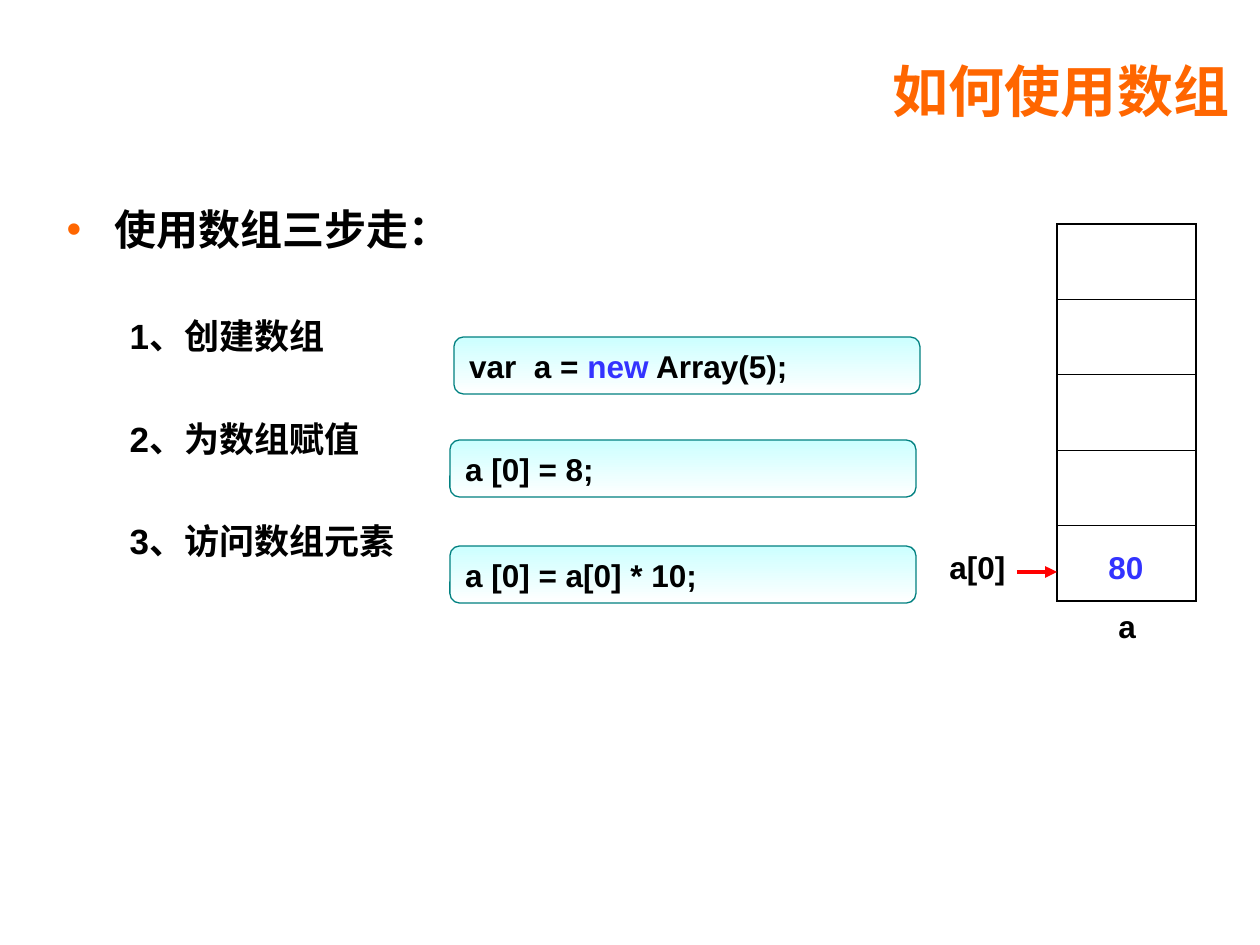
from typing import NamedTuple

from pptx import Presentation
from pptx.dml.color import RGBColor
from pptx.enum.shapes import MSO_CONNECTOR, MSO_SHAPE
from pptx.enum.text import MSO_ANCHOR, MSO_AUTO_SIZE, PP_ALIGN
from pptx.oxml.ns import qn
from pptx.util import Emu, Inches, Pt
from lxml import etree

ROUNDED = MSO_SHAPE.ROUNDED_RECTANGLE
STRAIGHT = MSO_CONNECTOR.STRAIGHT
MIDDLE = MSO_ANCHOR.MIDDLE
RIGHT = PP_ALIGN.RIGHT
NO_AUTOFIT = MSO_AUTO_SIZE.NONE

EMU_PER_PX = 914400 / 126
LATIN, CHINESE = "Arial", "Noto Sans CJK SC"
BLACK, WHITE, ORANGE, BLUE = "000000", "FFFFFF", "FF6600", "3333FF"
RED, TEAL, PALE_CYAN = "FF0000", "008080", "CCFFFF"


class Box(NamedTuple):
    left: int
    top: int
    width: int
    height: int


class Piece(NamedTuple):
    text: str
    color: str = BLACK


class Code(NamedTuple):
    left: int
    top: int
    pieces: tuple[Piece, ...]


class Label(NamedTuple):
    box: Box
    piece: Piece


TITLE_BOX = Box(384, 45, 858, 90)
BODY_BOX = Box(54, 204, 953, 548)
ARRAY_BOX = Box(1057, 224, 139, 377)
ARRAY_LENGTH = 5
CODE_WIDTH, CODE_HEIGHT = 466, 57

HEADING = "使用数组三步走："
STEPS = ("1、创建数组", "2、为数组赋值", "3、访问数组元素")
CODES = (
    Code(454, 337, (Piece("var  a = "), Piece("new", BLUE), Piece(" Array(5);"))),
    Code(450, 440, (Piece("a [0] = 8;"),)),
    Code(450, 546, (Piece("a [0] = a[0] * 10;"),)),
)
LABELS = (
    Label(Box(1106, 601, 59, 50), Piece("a")),
    Label(Box(1096, 542, 120, 50), Piece("80", BLUE)),
    Label(Box(937, 542, 110, 50), Piece("a[0]")),
)


def px(length: int) -> Emu:
    return Emu(round(length * EMU_PER_PX))


def place(box: Box) -> list[Emu]:
    return [px(length) for length in box]


def rgb(value: str) -> RGBColor:
    return RGBColor.from_string(value)


def format_run(run, size: float, color: str, latin: str = LATIN) -> None:
    run.font.name = latin
    run.font.size = Pt(size)
    run.font.bold = True
    run.font.color.rgb = rgb(color)
    east_asian = etree.SubElement(run.font._element, qn("a:ea"))
    east_asian.set("typeface", CHINESE)


def set_bullet(paragraph, left: float, hanging: float, character: str = "") -> None:
    """Set the indents in inches, with an orange bullet or none."""
    properties = paragraph._p.get_or_add_pPr()
    properties.set("marL", str(Inches(left)))
    properties.set("indent", str(-Inches(hanging)))
    if not character:
        etree.SubElement(properties, qn("a:buNone"))
        return
    color = etree.SubElement(properties, qn("a:buClr"))
    etree.SubElement(color, qn("a:srgbClr")).set("val", ORANGE)
    etree.SubElement(properties, qn("a:buFont")).set("typeface", LATIN)
    etree.SubElement(properties, qn("a:buChar")).set("char", character)


def fill_title(title) -> None:
    title.left, title.top, title.width, title.height = place(TITLE_BOX)
    frame = title.text_frame
    frame.text = "如何使用数组"
    frame.vertical_anchor = MIDDLE
    frame.auto_size = NO_AUTOFIT
    frame.paragraphs[0].alignment = RIGHT
    format_run(frame.paragraphs[0].runs[0], 32, ORANGE, CHINESE)


def fill_body(body) -> None:
    body.left, body.top, body.width, body.height = place(BODY_BOX)
    frame = body.text_frame
    frame.text = "\n".join((HEADING, *STEPS))
    frame.auto_size = NO_AUTOFIT
    frame.margin_top = 0
    heading, *steps = frame.paragraphs
    heading.space_before = Pt(0)
    set_bullet(heading, 0.38, 0.38, "•")
    format_run(heading.runs[0], 24, BLACK)
    for step in steps:
        step.level = 1
        step.space_before = Pt(34.5)
        set_bullet(step, 0.81, 0.31)
        format_run(step.runs[0], 20, BLACK)


def add_pieces(paragraph, pieces: tuple[Piece, ...]) -> None:
    for piece in pieces:
        run = paragraph.add_run()
        run.text = piece.text
        format_run(run, 18, piece.color)


def add_code(slide, code: Code) -> None:
    box = Box(code.left, code.top, CODE_WIDTH, CODE_HEIGHT)
    shape = slide.shapes.add_shape(ROUNDED, *place(box))
    shape.shadow.inherit = False
    shape.fill.gradient()
    shape.fill.gradient_angle = 270
    for stop, color in zip(shape.fill.gradient_stops, (PALE_CYAN, WHITE)):
        stop.color.rgb = rgb(color)
    shape.line.color.rgb = rgb(TEAL)
    shape.line.width = Pt(0.75)
    shape.text_frame.vertical_anchor = MIDDLE
    paragraph = shape.text_frame.paragraphs[0]
    paragraph.alignment = PP_ALIGN.LEFT
    add_pieces(paragraph, code.pieces)


def add_label(slide, label: Label) -> None:
    frame = slide.shapes.add_textbox(*place(label.box)).text_frame
    frame.word_wrap = True
    add_pieces(frame.paragraphs[0], (label.piece,))


def set_border(cell, side: str, width: float) -> None:
    line = etree.SubElement(cell._tc.get_or_add_tcPr(), qn(f"a:ln{side}"))
    line.set("w", str(Pt(width)))
    fill = etree.SubElement(line, qn("a:solidFill"))
    etree.SubElement(fill, qn("a:srgbClr")).set("val", BLACK)


def add_array(slide) -> None:
    thick, thin = 1.08, 0.45
    table = slide.shapes.add_table(ARRAY_LENGTH, 1, *place(ARRAY_BOX)).table
    table.first_row = False
    table.horz_banding = False
    for index in range(ARRAY_LENGTH):
        cell = table.cell(index, 0)
        set_border(cell, "L", thick)
        set_border(cell, "R", thick)
        set_border(cell, "T", thick if index == 0 else thin)
        set_border(cell, "B", thick if index == ARRAY_LENGTH - 1 else thin)
        cell.fill.solid()
        cell.fill.fore_color.rgb = rgb(WHITE)


def add_arrow(slide, left: int, right: int, y: int) -> None:
    arrow = slide.shapes.add_connector(STRAIGHT, px(left), px(y), px(right), px(y))
    arrow.line.color.rgb = rgb(RED)
    arrow.line.width = Pt(2.25)
    etree.SubElement(arrow.line._get_or_add_ln(), qn("a:tailEnd")).set("type", "triangle")
    etree.SubElement(arrow._element.spPr, qn("a:effectLst"))


def main() -> None:
    presentation = Presentation()
    presentation.slide_width, presentation.slide_height = px(1260), px(945)
    slide = presentation.slides.add_slide(presentation.slide_layouts[1])
    fill_title(slide.shapes.title)
    fill_body(slide.placeholders[1])
    for code in CODES:
        add_code(slide, code)
    add_array(slide)
    for label in LABELS:
        add_label(slide, label)
    add_arrow(slide, 1017, ARRAY_BOX.left, 572)
    presentation.save("out.pptx")


if __name__ == "__main__":
    main()
